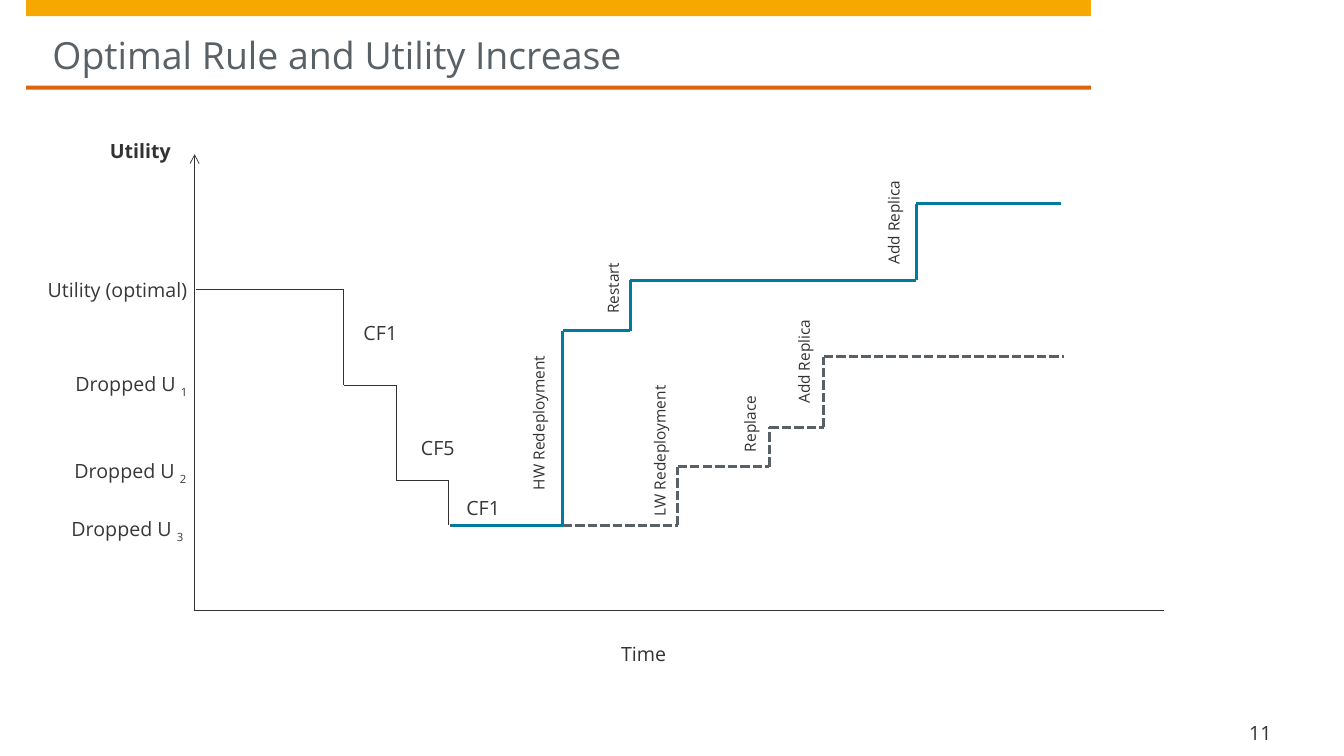
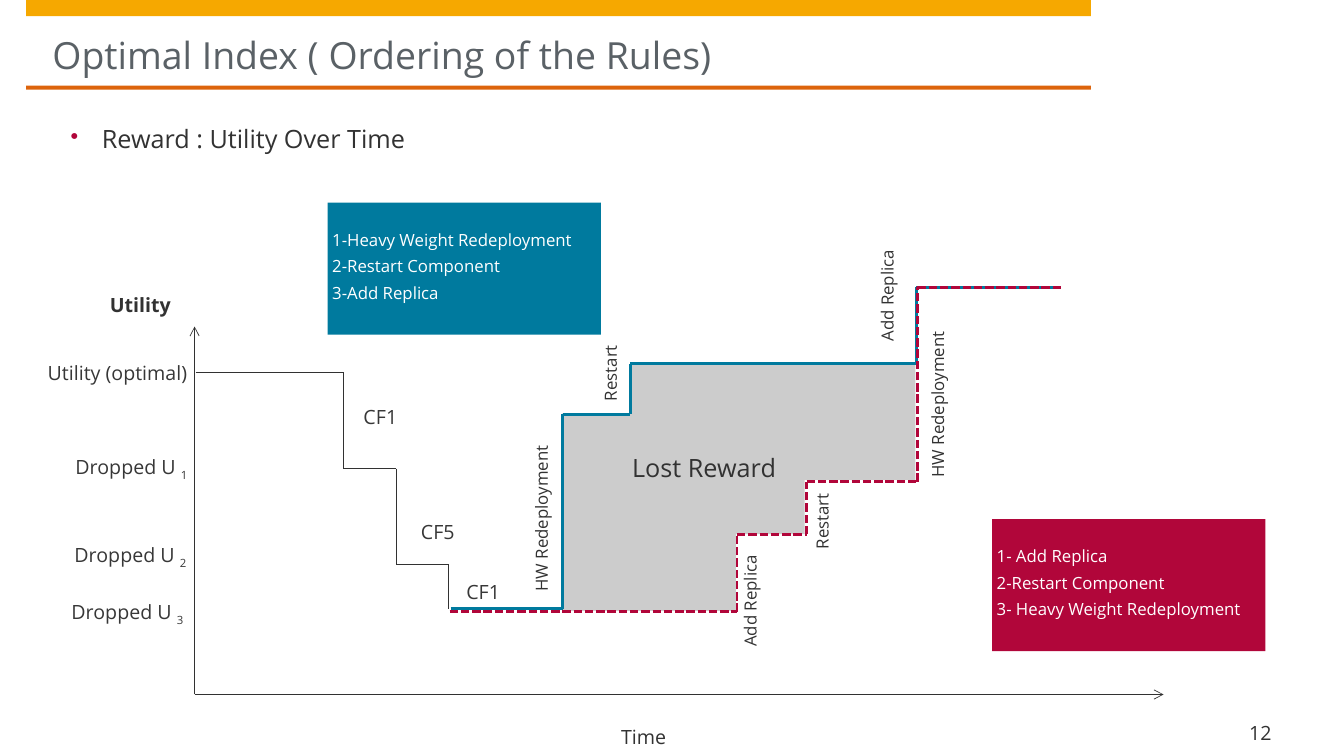
"""Build two slides that plot utility steps over time."""
from pptx import Presentation
from pptx.dml.color import RGBColor
from pptx.enum.dml import MSO_LINE
from pptx.enum.shapes import MSO_CONNECTOR, MSO_SHAPE
from pptx.enum.text import MSO_ANCHOR, PP_ALIGN
from pptx.oxml.ns import qn
from pptx.util import Inches, Pt
from lxml.etree import SubElement

WIDE, HIGH = Inches(13.33), Inches(7.5)
COLS, ROWS = 133.3, 75
FONT = "Open Sans"
HUES = {
    "gold": "F6A800", "rust": "DD640C", "title": "5A6166", "ink": "323232",
    "soft": "373737", "blue": "007A9E", "red": "B1063A", "gray": "CCCCCC",
    "white": "FFFFFF",
}
LEFT, RIGHT = PP_ALIGN.LEFT, PP_ALIGN.RIGHT


def hue(name):
    """Return a named colour."""
    return RGBColor.from_string(HUES[name])


def col(n):
    """Return the length of n grid columns."""
    return int(WIDE * n / COLS)


def row(n):
    """Return the length of n grid rows."""
    return int(HIGH * n / ROWS)


def place(box):
    """Turn a grid box into slide lengths."""
    x, y, w, h = box
    return col(x), row(y), col(w), row(h)


def rect(slide, box, fill):
    """Add a plain filled rectangle."""
    shape = slide.shapes.add_shape(MSO_SHAPE.RECTANGLE, *place(box))
    shape.shadow.inherit = False
    shape.fill.solid()
    shape.fill.fore_color.rgb = hue(fill)
    shape.line.fill.background()
    return shape


def write(para, parts, size, color, bold=False):
    """Add runs to a paragraph; every second one is a subscript."""
    for i, part in enumerate(parts):
        run = para.add_run()
        run.text = part
        font = run.font
        font.name, font.size, font.bold = FONT, Pt(size), bold
        font.color.rgb = hue(color)
        if i % 2:
            run._r.get_or_add_rPr().set("baseline", "-25000")


def fill_text(shape, lines, size=14, color="ink", align=LEFT, pads=(0, 0),
              anchor=MSO_ANCHOR.TOP, bold=False, pitch=0.9):
    """Set the lines of a shape, each given as a list of runs."""
    frame = shape.text_frame
    frame.word_wrap = True
    frame.vertical_anchor = anchor
    frame.margin_left, frame.margin_top = col(pads[0]), row(pads[1])
    frame.margin_right = frame.margin_bottom = 0
    for i, parts in enumerate(lines):
        para = frame.add_paragraph() if i else frame.paragraphs[0]
        para.alignment = align
        para.line_spacing = pitch
        para.space_before = para.space_after = Pt(3)
        write(para, parts, size, color, bold)
    return shape


def text(slide, box, *parts, **style):
    """Add a one-line text box."""
    return fill_text(slide.shapes.add_textbox(*place(box)), [parts], **style)


def turned(slide, box, words, size, align=RIGHT):
    """Add a label that reads upwards."""
    text(slide, box, words, size=size, align=align).rotation = 270


def panel(slide, x, y, fill, lines):
    """Add a coloured panel with a list of rules."""
    shape = rect(slide, (x, y, 27.1, 13.1), fill)
    fill_text(shape, [[line] for line in lines], 12, "white", pads=(0.45, 2.9))


def bullet(slide, box, words):
    """Add a bulleted line."""
    para = text(slide, box, words, size=18).text_frame.paragraphs[0]
    props = para._p.get_or_add_pPr()
    props.set("marL", str(col(3.1)))
    props.set("indent", str(-col(3.1)))
    tint = SubElement(props, qn("a:buClr"))
    SubElement(tint, qn("a:srgbClr")).set("val", HUES["red"])
    SubElement(props, qn("a:buSzPct")).set("val", "90000")
    SubElement(props, qn("a:buChar")).set("char", "•")


def line(slide, start, end, color, width, dash=False, arrow=False):
    """Add a straight line, with an arrow at its end if asked."""
    (x, y), (u, v) = start, end
    link = slide.shapes.add_connector(
        MSO_CONNECTOR.STRAIGHT, col(x), row(y), col(u), row(v))
    link.line.color.rgb = hue(color)
    link.line.width = Pt(width)
    if dash:
        link.line.dash_style = MSO_LINE.SQUARE_DOT
    if arrow:
        SubElement(link.line._get_or_add_ln(), qn("a:tailEnd")).set("type", "arrow")
    SubElement(link._element.spPr, qn("a:effectLst"))


def stair(slide, xs, ys, color, width, dash=False):
    """Draw level treads at ys between xs, joined by risers."""
    spots = [(x, y) for i, y in enumerate(ys) for x in xs[i:i + 2]]
    for a, b in zip(spots, spots[1:]):
        if a != b:
            line(slide, a, b, color, width, dash)


def base(deck, title, number):
    """Add a slide with bands, title and page number."""
    slide = deck.slides.add_slide(deck.slide_layouts[6])
    rect(slide, (2.6, 0, 105.6, 1.6), "gold")
    rect(slide, (2.6, 8.5, 105.6, 0.4), "rust")
    text(slide, (5.2, 1.6, 100.3, 6.1), title, size=26.7, color="title",
         pads=(0, 1.6), anchor=MSO_ANCHOR.MIDDLE, pitch=1)
    text(slide, (122.7, 71.4, 8, 2.5), str(number), pads=(1.2, 0),
         anchor=MSO_ANCHOR.BOTTOM)
    return slide


def graph(slide, drop, top, name, arrow):
    """Draw axes, names and the falling steps, moved down by drop rows."""
    foot = 60.6 + drop
    line(slide, (19.3, foot), (19.3, top), "ink", 0.5, arrow=True)
    line(slide, (19.3, foot), (115.4, foot), "ink", 0.5, arrow=arrow)
    text(slide, (9.9, name, 12.3, 3.4), "Utility", bold=True, pads=(1, 0.5))
    text(slide, (61.6, foot + 3.3, 9.2, 4.2), "Time")
    marks = [
        (18.6, 27.8, "Utility (optimal)"), (18.6, 36.9, "Dropped U ", "1"),
        (18.5, 45.6, "Dropped U ", "2"), (18.2, 51.3, "Dropped U ", "3"),
        (39.4, 32.1, "CF1"), (45.1, 43.5, "CF5"), (49.6, 49.5, "CF1"),
    ]
    for end, y, *parts in marks:
        text(slide, (end - 16, y + drop, 16, 3), *parts, color="soft", align=RIGHT)
    falls = [y + drop for y in (28.7, 38.2, 47.7, 52.1)]
    stair(slide, (19.4, 34.1, 39.3, 44.5, 44.5), falls, "ink", 0.75)


def climb(slide, drop):
    """Draw the best rising steps, moved down by drop rows."""
    rises = [y + drop for y in (52.1, 32.8, 27.8, 20.2)]
    stair(slide, (44.7, 55.8, 62.5, 90.9, 105.2), rises, "blue", 2)


def rule_slide(deck):
    """Build the slide on the optimal rule."""
    slide = base(deck, "Optimal Rule and Utility Increase", 11)
    graph(slide, 0, 15.3, 13.6, False)
    stair(slide, (44.6, 67.2, 76.3, 81.7, 105.5), (52.1, 46.3, 42.4, 35.4),
          "title", 2.25, True)
    climb(slide, 0)
    for box, words, align in [
        ((57.7, 28.4, 6.5, 1.8), "Restart", RIGHT),
        ((45.5, 42.5, 16.2, 1.8), "HW Redeployment", RIGHT),
        ((83.9, 21.9, 10.8, 2.8), "Add Replica", RIGHT),
        ((57.5, 42.2, 16.2, 1.8), "LW Redeployment", LEFT),
        ((70.1, 38.7, 9.7, 2.6), "Replace", LEFT),
        ((75, 35.7, 10.8, 2.8), "Add Replica", RIGHT),
    ]:
        turned(slide, box, words, 11, align)


def index_slide(deck):
    """Build the slide on the ordering of the rules."""
    slide = base(deck, "Optimal Index ( Ordering of the Rules)", 12)
    for box in [(62.6, 45, 17.2, 8), (62.7, 36.2, 28.1, 11.4), (55.8, 41, 17.2, 19.6)]:
        rect(slide, box, "gray")
    graph(slide, 8.3, 32.4, 28.8, True)
    climb(slide, 8.3)
    stair(slide, (44.6, 73.1, 80, 91, 105.5), (60.7, 53, 47.8, 28.5), "red", 2, True)
    for box, words in [
        ((57.4, 36.6, 6.5, 1.8), "Restart"),
        ((45.7, 51.4, 16.2, 1.8), "HW Redeployment"),
        ((83.2, 28.8, 10.8, 2.8), "Add Replica"),
        ((69.6, 59.1, 10.8, 2.8), "Add Replica"),
        ((78.4, 51.3, 6.5, 1.8), "Restart"),
        ((85, 40.1, 16.2, 1.8), "HW Redeployment"),
    ]:
        turned(slide, box, words, 12)
    panel(slide, 32.5, 20.1, "blue",
          ["1-Heavy Weight Redeployment", "2-Restart Component", "3-Add Replica"])
    panel(slide, 98.4, 51.5, "red",
          ["1- Add Replica", "2-Restart Component", "3- Heavy Weight Redeployment"])
    text(slide, (62.7, 45.2, 15.9, 5.4), "Lost Reward", size=18)
    bullet(slide, (7, 12.6, 38.1, 5.4), "Reward : Utility Over Time")


def main():
    """Build and save the deck."""
    deck = Presentation()
    deck.slide_width, deck.slide_height = WIDE, HIGH
    rule_slide(deck)
    index_slide(deck)
    deck.save("out.pptx")


main()
